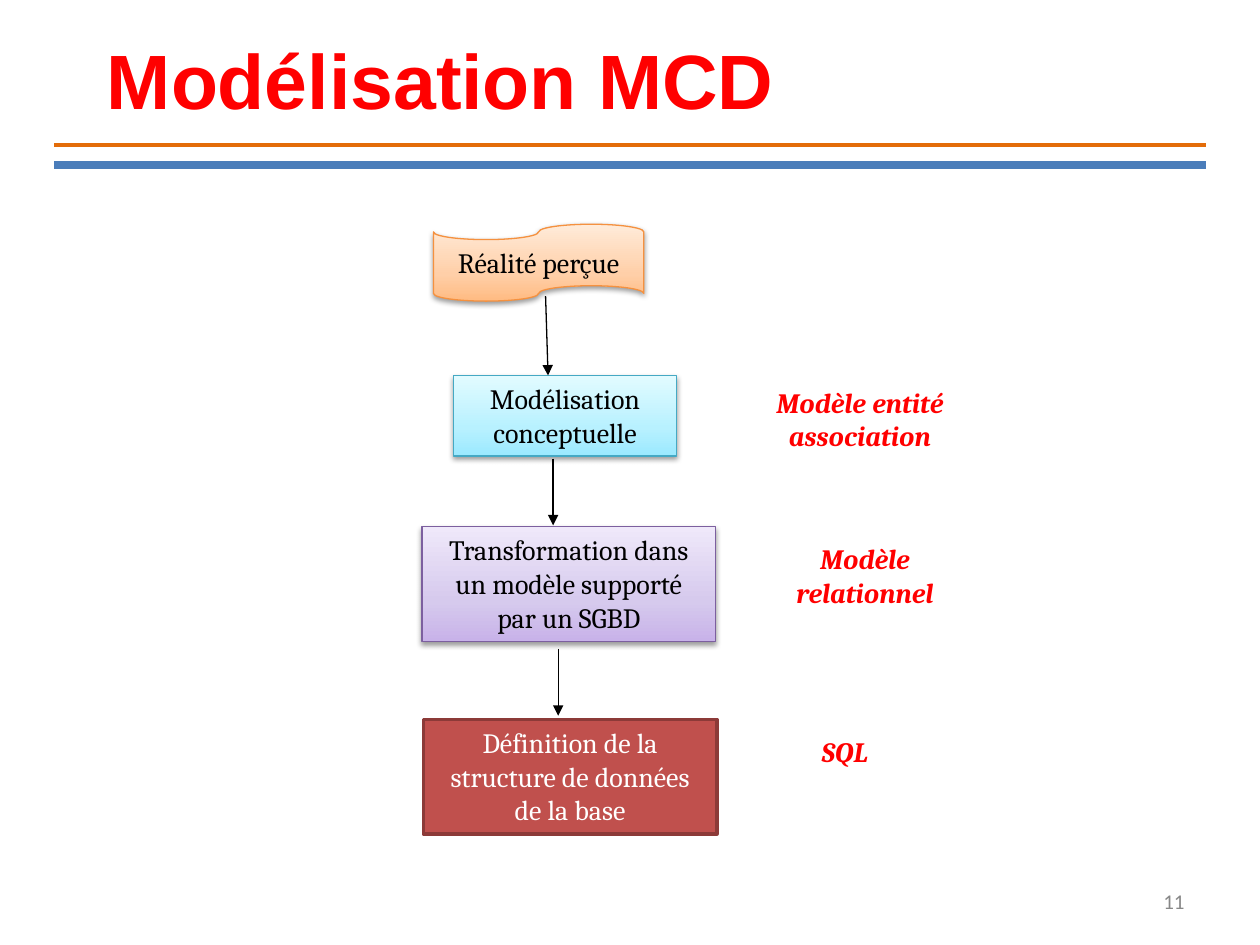
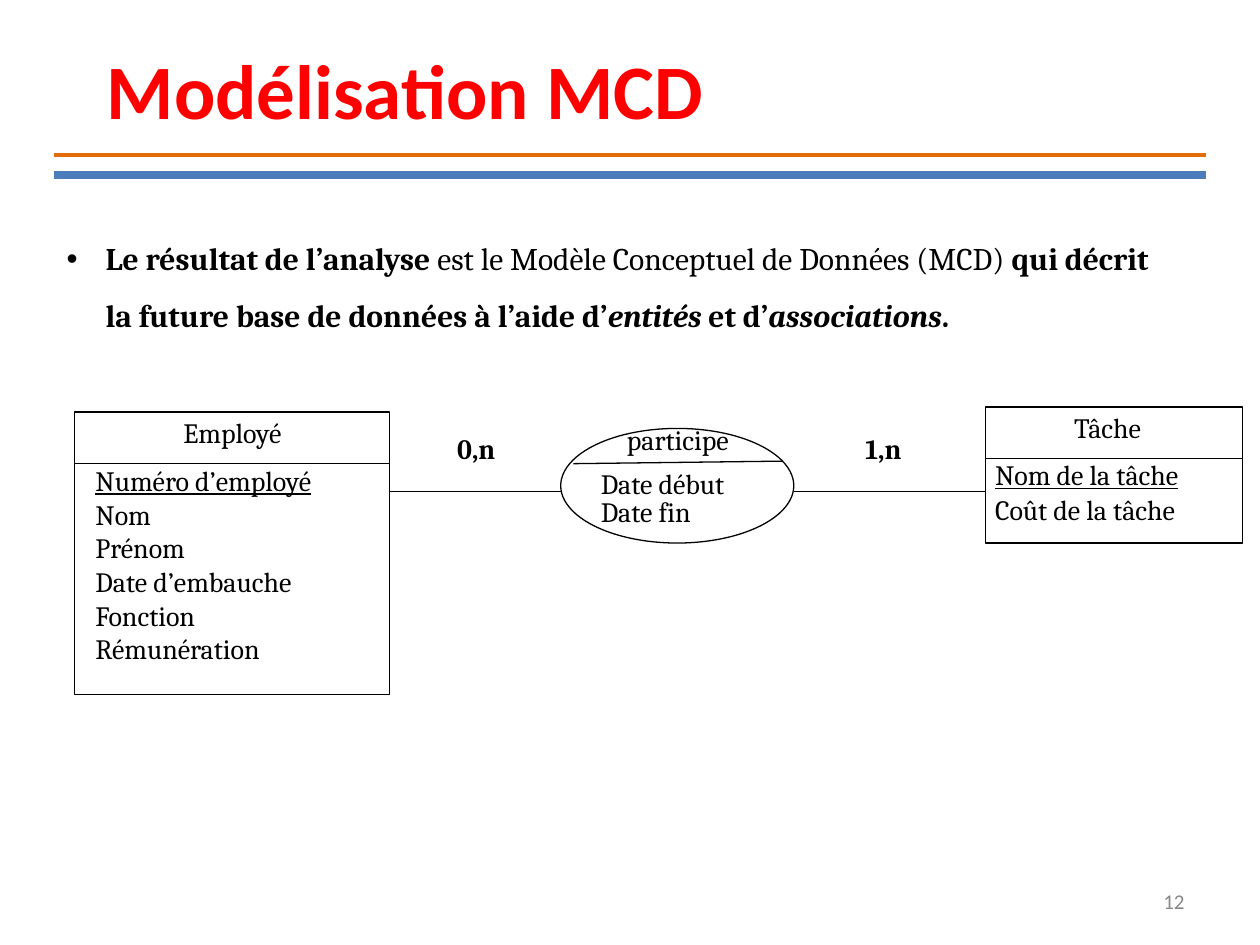
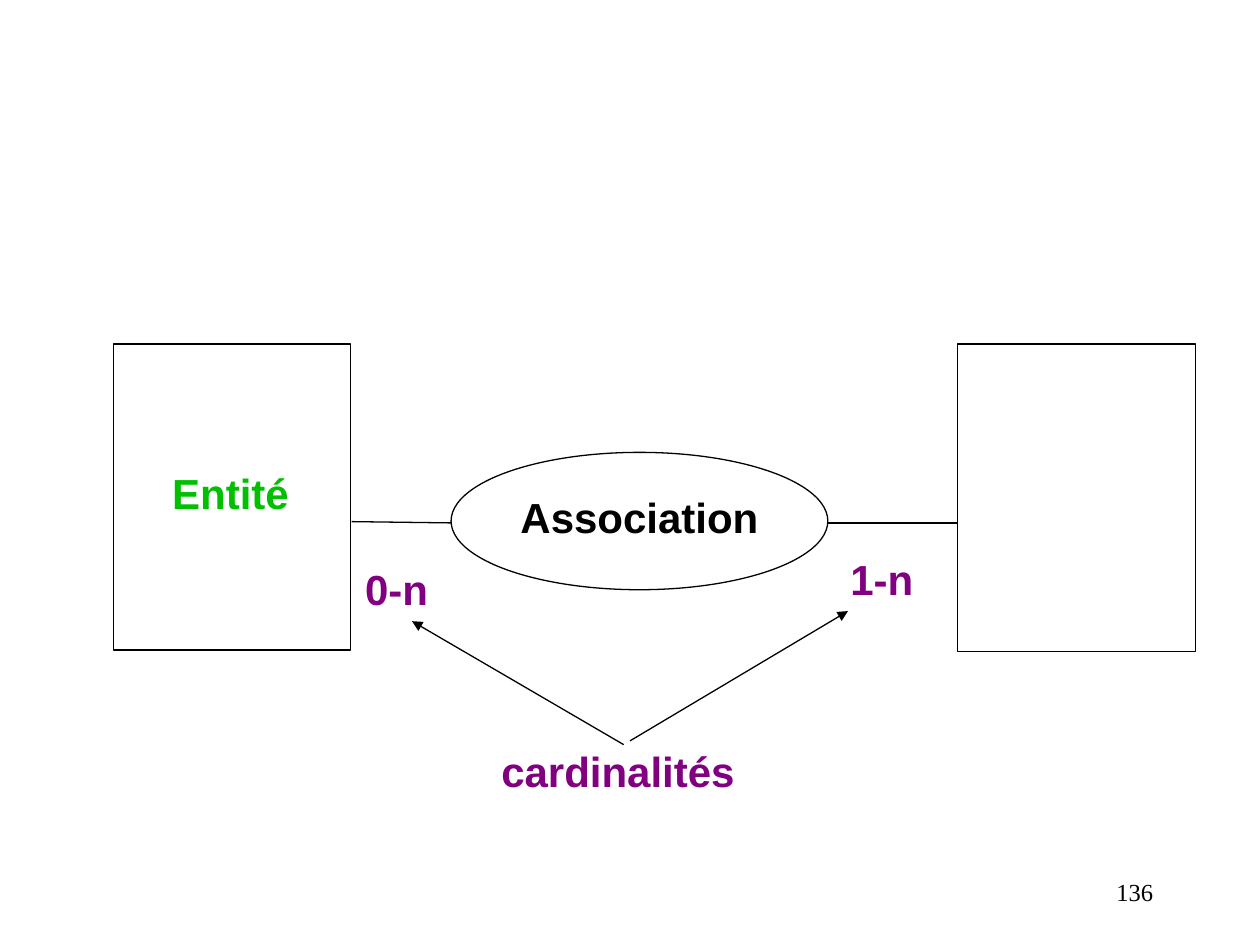
import pptx
import pptx.dml.color
import pptx.enum.shapes
import pptx.enum.text
import pptx.oxml
import pptx.oxml.ns
import pptx.util
from lxml import etree

Inches = pptx.util.Inches
Pt = pptx.util.Pt
Shape = pptx.enum.shapes.MSO_SHAPE
Align = pptx.enum.text.PP_ALIGN
Anchor = pptx.enum.text.MSO_ANCHOR
NS = pptx.oxml.ns.nsdecls("a")

# Shared colours and text styles
BLACK, WHITE, RED, GREY = "000000", "FFFFFF", "FF0000", "888888"
ORANGE, BLUE, GREEN, PURPLE = "E36C09", "4A7DBA", "00C000", "800080"
BODY = dict(font="Cambria", size=16)
LABEL = dict(font="Arial", size=24, style="b", spacing=[0.93])
TITLE = "Modélisation MCD"

# Slide 1: steps as (text, box, shape, gradient from the bottom up, outline)
STEPS = [
    ("Réalité perçue", (3.44, 1.78, 1.67, 0.61), Shape.WAVE, ("FFBB82", "FFCFA8", "FFEBD9"), "F5913F"),
    ("Modélisation conceptuelle", (3.6, 2.98, 1.77, 0.64), Shape.RECTANGLE,
     ("9BE9FF", "B8F1FF", "E2FBFF"), "45A9C4"),
    ("Transformation dans un modèle supporté par un SGBD", (3.35, 4.18, 2.33, 0.91), Shape.RECTANGLE,
     ("C8B2E9", "D6CAED", "EFE8FA"), "7C5F9F"),
]
STEPS[0] = STEPS[0][:2] + (Shape.FLOWCHART_PUNCHED_TAPE,) + STEPS[0][3:]
FINAL_STEP = ("Définition de la structure de données de la base", (3.36, 5.71, 2.33, 0.91))
STEP_ARROWS = [((4.33, 2.35), (4.35, 2.98)), ((4.39, 3.64), (4.39, 4.17)), ((4.43, 5.15), (4.43, 5.68))]
MODELS = [
    ("Modèle entité association", (5.94, 3.01, 1.77, 0.64)),
    ("Modèle relationnel", (5.98, 4.25, 1.77, 0.64)),
    ("SQL", (5.82, 5.78, 1.77, 0.37)),
]

# Slide 2: runs as (text, style), entities as (name, attributes, box, text offset, name width)
RESULT = [
    ("Le résultat de l’analyse ", "b"), ("est le Modèle Conceptuel de Données (MCD) ", ""),
    ("qui décrit la future base de données à l’aide d’", "b"), ("entités ", "bi"),
    ("et d’", "b"), ("associations", "bi"), (".", "b"),
]
ENTITIES = [
    ("Employé", ["Numéro d’employé", "Nom", "Prénom", "Date d’embauche", "Fonction", "Rémunération"],
     (0.59, 3.27, 2.5, 2.24), 0.07, (0.68, 2.33)),
    ("Tâche", ["Nom de la tâche", "Coût de la tâche"], (7.82, 3.23, 2.04, 1.08), -0.02, (7.82, 1.94)),
]
ASSOCIATION = ("participe", ["Date début", "Date fin"], (4.45, 3.4, 1.85, 0.91))
CARDINALITIES = [("0,n", 3.53), ("1,n", 6.77)]
LINKS = [(3.09, 4.45), (6.3, 7.82)]

# Slide 3
ENTITY_BOXES = [(0.9, 2.73, 1.88, 2.43), (7.6, 2.73, 1.89, 2.44)]
ASSOCIATION_OVAL = (3.58, 3.59, 2.99, 1.09)
LEGENDS = [  # text, box, colour, alignment, anchor
    ("Entité", (0.9, 3.7, 1.86, 0.47), GREEN, Align.CENTER, Anchor.MIDDLE),
    ("Association", (4.03, 3.89, 2.09, 0.47), BLACK, Align.CENTER, Anchor.MIDDLE),
    ("0-n", (2.8, 4.46, 1.4, 0.47), PURPLE, Align.LEFT, Anchor.TOP),
    ("1-n", (6.65, 4.38, 1.4, 0.47), PURPLE, Align.LEFT, Anchor.TOP),
    ("cardinalités", (3.88, 5.9, 2.05, 0.47), PURPLE, Align.LEFT, Anchor.TOP),
]
ENTITY_LINKS = [((2.79, 4.14), (3.58, 4.15)), ((6.56, 4.15), (7.6, 4.15))]
CARDINALITY_ARROWS = [((5, 5.88), (6.73, 4.85)), ((4.95, 5.91), (3.27, 4.93))]


def rgb(value):
    return pptx.dml.color.RGBColor.from_string(value)


def write(shape, paragraphs, font, size, color=BLACK, style="", align=Align.LEFT,
          anchor=Anchor.TOP, spacing=(), before=0, bullet=False):
    """Fill a shape; each paragraph is a string or a list of (text, style) runs."""
    frame = shape.text_frame
    frame.word_wrap = True
    frame.vertical_anchor = anchor
    for index, content in enumerate(paragraphs):
        paragraph = frame.add_paragraph() if index else frame.paragraphs[0]
        paragraph.alignment = align
        if index < len(spacing):
            paragraph.line_spacing = spacing[index]
        if index and before:
            paragraph.space_before = Pt(before)
        if bullet:
            properties = paragraph._p.get_or_add_pPr()
            properties.set("marL", str(Inches(0.31)))
            properties.set("indent", str(-Inches(0.31)))
            properties.append(pptx.oxml.parse_xml(f'<a:buFont {NS} typeface="Arial"/>'))
            properties.append(pptx.oxml.parse_xml(f'<a:buChar {NS} char="•"/>'))
        for text, run_style in [(content, style)] if isinstance(content, str) else content:
            run = paragraph.add_run()
            run.text = text
            run.font.name, run.font.size = font, Pt(size)
            run.font.color.rgb = rgb(color)
            run.font.bold = "b" in run_style
            run.font.italic = "i" in run_style
            run.font.underline = "u" in run_style


def add_text(slide, paragraphs, box, **options):
    text = slide.shapes.add_textbox(*map(Inches, box))
    write(text, paragraphs, **options)
    return text


def add_box(slide, box, kind=Shape.RECTANGLE, fill=None, line=BLACK, width=0.75):
    shape = slide.shapes.add_shape(kind, *map(Inches, box))
    shape.shadow.inherit = False
    if fill:
        shape.fill.solid()
        shape.fill.fore_color.rgb = rgb(fill)
    else:
        shape.fill.background()
    shape.line.color.rgb = rgb(line)
    shape.line.width = Pt(width)
    return shape


def add_gradient_and_shadow(shape, colors):
    properties = shape._element.spPr
    stops = "".join(f'<a:gs pos="{position}"><a:srgbClr val="{color}"/></a:gs>'
                    for position, color in zip((0, 35000, 100000), colors))
    gradient = pptx.oxml.parse_xml(
        f'<a:gradFill {NS} rotWithShape="1"><a:gsLst>{stops}</a:gsLst>'
        '<a:lin ang="16200000" scaled="0"/></a:gradFill>')
    plain = properties.find(pptx.oxml.ns.qn("a:noFill"))
    properties.replace(plain, gradient)
    effects = properties.find(pptx.oxml.ns.qn("a:effectLst"))
    effects.append(pptx.oxml.parse_xml(
        f'<a:outerShdw {NS} blurRad="{Pt(3.1)}" dist="{Pt(1.6)}" dir="5400000" rotWithShape="0">'
        f'<a:srgbClr val="{BLACK}"><a:alpha val="38000"/></a:srgbClr></a:outerShdw>'))


def add_line(slide, start, end, color=BLACK, width=0.75, arrow=False):
    line = slide.shapes.add_connector(pptx.enum.shapes.MSO_CONNECTOR.STRAIGHT,
                                      *map(Inches, (*start, *end)))
    line.line.color.rgb = rgb(color)
    line.line.width = Pt(width)
    if arrow:
        etree.SubElement(line.line._get_or_add_ln(), pptx.oxml.ns.qn("a:tailEnd"), type="triangle")
    etree.SubElement(line._element.spPr, pptx.oxml.ns.qn("a:effectLst"))


def add_number(slide, number, box=(7.17, 6.95, 2.33, 0.4), font="Calibri", size=12, color=GREY):
    add_text(slide, [number], box, font=font, size=size, color=color,
             align=Align.RIGHT, anchor=Anchor.MIDDLE)


def add_header(slide, top, font):
    """Title with its orange and blue rules."""
    add_text(slide, [TITLE], (0.75, top, 7.72, 0.84), font=font, size=44, color=RED, style="b")
    for offset, color, width in [(0.94, ORANGE, 2.25), (1.1, BLUE, 4.5)]:
        add_line(slide, (0.43, top + offset), (9.57, top + offset), color, width)


def build_steps(slide):
    add_number(slide, "11")
    add_header(slide, 0.21, "Arial")
    for text, box, kind, colors, outline in STEPS:
        step = add_box(slide, box, kind, line=outline)
        add_gradient_and_shadow(step, colors)
        write(step, [text], align=Align.CENTER, **BODY)
    text, box = FINAL_STEP
    final = add_box(slide, box, fill="C0504D", line="8C3A38", width=2)
    write(final, [text], color=WHITE, align=Align.CENTER, **BODY)
    for start, end in STEP_ARROWS:
        add_line(slide, start, end, arrow=True)
    for text, box in MODELS:
        add_text(slide, [text], box, color=RED, style="bi", align=Align.CENTER, **BODY)


def build_example(slide):
    add_number(slide, "12")
    add_header(slide, 0.29, "Calibri")
    add_text(slide, [RESULT], (0.43, 1.7, 8.9, 1.31), font="Cambria", size=18,
             spacing=[1.5], bullet=True)

    # Entities: name, rule, then attributes with the key underlined
    for name, (key, *others), box, offset, (name_left, name_width) in ENTITIES:
        left, top, width, height = box
        add_box(slide, box)
        add_text(slide, [name], (name_left, top, name_width, 0.45), align=Align.CENTER,
                 spacing=[0.93], **BODY)
        add_line(slide, (left, top + 0.41), (left + width, top + 0.41))
        add_text(slide, [[(key, "u")], *others],
                 (left + offset, top + 0.38, width - 0.1, height - 0.38), spacing=[0.93], **BODY)

    # Association
    name, attributes, oval = ASSOCIATION
    add_box(slide, oval, Shape.OVAL)
    add_text(slide, [name], (4.58, 3.33, 1.6, 0.45), align=Align.CENTER, spacing=[0.93], **BODY)
    add_line(slide, (4.55, 3.68), (6.21, 3.66))
    add_text(slide, attributes, (4.67, 3.72, 1.41, 1.02), spacing=[0.73, 0.73], before=2.2, **BODY)

    for text, left in CARDINALITIES:
        add_text(slide, [text], (left, 3.4, 0.55, 0.37), style="b", spacing=[0.93], **BODY)
    for start, end in LINKS:
        add_line(slide, (start, 3.9), (end, 3.9), width=1)


def build_notation(slide):
    add_number(slide, "136", (7.17, 6.83, 2.08, 0.5), "Times New Roman", 14, BLACK)
    for box in ENTITY_BOXES:
        add_box(slide, box, fill=WHITE)
    add_box(slide, ASSOCIATION_OVAL, Shape.OVAL, fill=WHITE)
    for text, box, color, align, anchor in LEGENDS:
        add_text(slide, [text], box, color=color, align=align, anchor=anchor, **LABEL)
    for start, end in ENTITY_LINKS:
        add_line(slide, start, end)
    for start, end in CARDINALITY_ARROWS:
        add_line(slide, start, end, arrow=True)


def main():
    deck = pptx.Presentation()
    deck.slide_width, deck.slide_height = Inches(10), Inches(7.5)
    for build in (build_steps, build_example, build_notation):
        build(deck.slides.add_slide(deck.slide_layouts[6]))
    deck.save("out.pptx")


if __name__ == "__main__":
    main()
